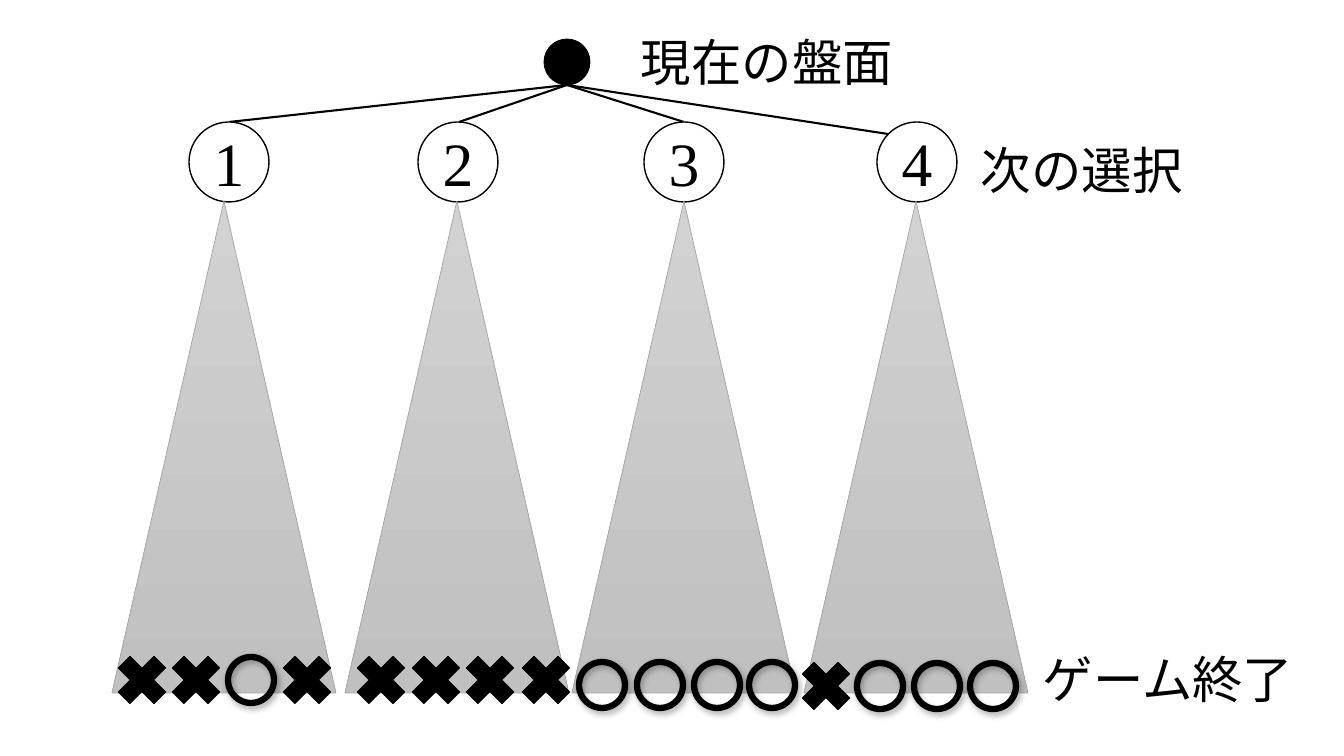
from dataclasses import dataclass

from lxml import etree
from pptx import Presentation
from pptx import util as u
from pptx.dml.color import RGBColor
from pptx.enum import lang, shapes, text
from pptx.oxml import ns


@dataclass(frozen=True)
class Theme:
    """Colours, font and type sizes of the slide."""
    ink: RGBColor = RGBColor(0, 0, 0)
    paper: RGBColor = RGBColor(255, 255, 255)
    cone_top: RGBColor = RGBColor(0xD2, 0xD2, 0xD2)
    cone_bottom: RGBColor = RGBColor(0xC0, 0xC0, 0xC0)
    cone_edge: RGBColor = RGBColor(0xA5, 0xA5, 0xA5)
    font: str = "Times New Roman"
    label_size: int = 36
    number_size: int = 44


THEME = Theme()
SCALE = 914400 / 100.8
KIND = shapes.MSO_SHAPE
NODE, CONE_WIDTH, CONE_HEIGHT = 80, 224, 492
RING, CROSS = 46, 68
ROOT = (567, 85)

# number, node left, cone left, edge end, centre height of the results, results
BRANCHES = [
    ("1", 189, 112, (229, 122), 680, [("x", 142), ("x", 196), ("o", 251), ("x", 307)]),
    ("2", 418, 345, (459, 122), 680, [("x", 381), ("x", 436), ("x", 490), ("x", 546)]),
    ("3", 644, 572, (684, 122), 685, [("o", 602), ("o", 660), ("o", 717), ("o", 772)]),
    ("4", 877, 804, (888, 134), 686, [("x", 826), ("o", 880), ("o", 937), ("o", 993)]),
]
LABELS = [
    ("現在の盤面", 631, 26, 275),
    ("次の選択", 971, 134, 243),
    ("ゲーム終了", 1033, 643, 275),
]


def px(pixels):
    """Turn pixels into EMU."""
    return u.Emu(round(pixels * SCALE))


def add_figure(slide, kind, box, fill, line, width):
    """Place a preset shape in a box; a fill of None leaves it open."""
    shape = slide.shapes.add_shape(kind, *map(px, box))
    shape.shadow.inherit = False
    if fill is None:
        shape.fill.background()
    else:
        shape.fill.solid()
        shape.fill.fore_color.rgb = fill
    shape.line.color.rgb = line
    shape.line.width = u.Pt(width)
    return shape


def write(shape, words, size):
    """Write one paragraph into a shape and return it."""
    paragraph = shape.text_frame.paragraphs[0]
    paragraph.text = words
    font = paragraph.font
    font.name, font.size = THEME.font, u.Pt(size)
    font.color.rgb = THEME.ink
    return paragraph


def add_label(slide, words, left, top, width):
    """Place a label in a box of one line."""
    shape = slide.shapes.add_textbox(*map(px, (left, top, width, 72)))
    shape.text_frame.word_wrap = True
    paragraph = write(shape, words, THEME.label_size)
    paragraph.runs[0].font.language_id = lang.MSO_LANGUAGE_ID.JAPANESE


def add_edge(slide, start, end):
    """Draw a plain line between two points."""
    edge = slide.shapes.add_connector(
        shapes.MSO_CONNECTOR.STRAIGHT, *map(px, start + end))
    edge.line.color.rgb = THEME.ink
    edge.line.width = u.Pt(1.5)
    etree.SubElement(edge.element.spPr, ns.qn("a:effectLst"))


def add_cone(slide, left, top):
    """Draw the shaded triangle of all continuations, from its top left."""
    cone = add_figure(slide, KIND.ISOSCELES_TRIANGLE,
                      (left, top, CONE_WIDTH, CONE_HEIGHT),
                      THEME.cone_top, THEME.cone_edge, 0.5)
    cone.fill.gradient()
    cone.fill.gradient_angle = 270
    for stop, colour in zip(cone.fill.gradient_stops,
                            (THEME.cone_top, THEME.cone_bottom)):
        stop.color.rgb = colour


def add_node(slide, number, left, top):
    """Draw a numbered circle."""
    node = add_figure(slide, KIND.OVAL, (left, top, NODE, NODE),
                      THEME.paper, THEME.ink, 1)
    frame = node.text_frame
    frame.margin_left = frame.margin_right = 0
    frame.margin_top = frame.margin_bottom = 0
    frame.vertical_anchor = text.MSO_ANCHOR.MIDDLE
    frame.word_wrap = False
    write(node, number, THEME.number_size).alignment = text.PP_ALIGN.CENTER


def add_drop_shadow(shape):
    """Give a shape a soft shadow to the lower right."""
    effects = shape.element.spPr.find(ns.qn("a:effectLst"))
    shadow = etree.SubElement(effects, ns.qn("a:outerShdw"), blurRad=str(u.Pt(4.5)),
                              dist=str(u.Pt(2.6)), dir=str(53 * 60000),
                              algn="tl", rotWithShape="0")
    colour = etree.SubElement(shadow, ns.qn("a:srgbClr"), val=str(THEME.ink))
    etree.SubElement(colour, ns.qn("a:alpha"), val="30000")


def add_result(slide, mark, x, y):
    """Draw a win ring or a loss cross around a centre."""
    size = RING if mark == "o" else CROSS
    box = (x - size / 2, y - size / 2, size, size)
    if mark == "o":
        add_drop_shadow(add_figure(slide, KIND.OVAL, box, None, THEME.ink, 4.5))
    else:
        add_figure(slide, KIND.MATH_MULTIPLY, box, THEME.ink, THEME.ink, 1)


def add_branch(slide, branch, top):
    """Draw one choice: its edge, node, cone and final results."""
    number, node_left, cone_left, edge_end, result_y, results = branch
    add_edge(slide, ROOT, edge_end)
    add_node(slide, number, node_left, top)
    add_cone(slide, cone_left, top + NODE - 1)
    for mark, x in results:
        add_result(slide, mark, x, result_y)


def add_game_tree(slide):
    """Draw the whole tree with its level labels."""
    add_figure(slide, KIND.OVAL, (ROOT[0] - RING / 2, ROOT[1] - RING, RING, RING),
               THEME.ink, THEME.ink, 0.5)
    for branch in BRANCHES:
        add_branch(slide, branch, 122)
    for label in LABELS:
        add_label(slide, *label)


presentation = Presentation()
presentation.slide_width, presentation.slide_height = px(1344), px(756)
add_game_tree(presentation.slides.add_slide(presentation.slide_layouts[6]))
presentation.save("out.pptx")
